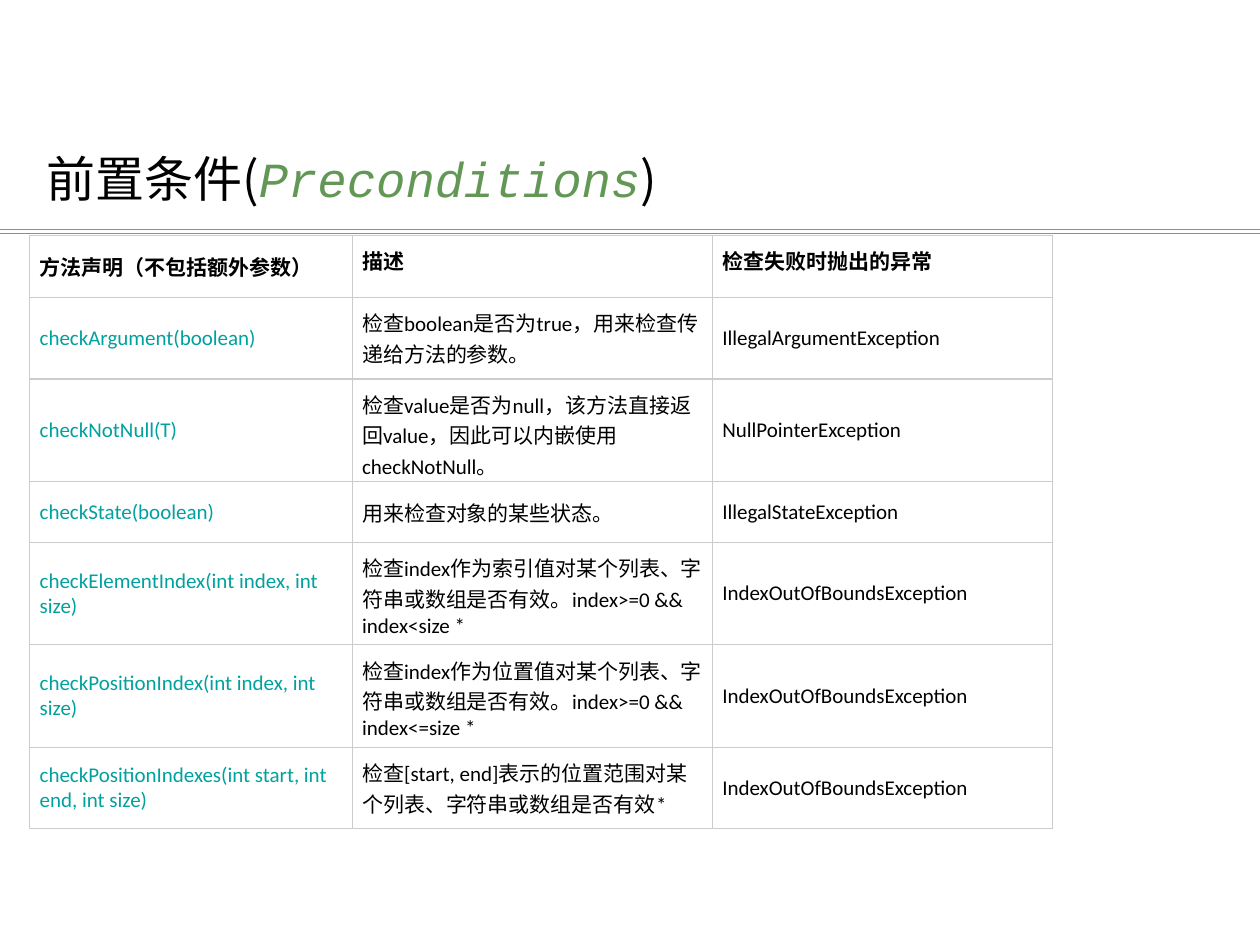
from lxml.etree import SubElement
from pptx import Presentation
from pptx.dml.color import RGBColor
from pptx.enum.shapes import MSO_CONNECTOR
from pptx.enum.text import MSO_ANCHOR as Anchor
from pptx.oxml.ns import qn
from pptx.util import Cm, Pt

CJK_FONT = "Noto Sans CJK SC"
BLACK, TEAL, GREEN = "000000", "00A19E", "629755"
RULE_BLUE, BORDER_GREY = "5B9BD5", "CCCCCC"
COLUMN_WIDTHS = [6.5, 7.26, 6.86]
ROW_HEIGHTS = [1.24, 1.65, 2.06, 1.24, 2.06, 2.06, 1.65]

HEADER = ["方法声明（不包括额外参数）", "描述", "检查失败时抛出的异常"]
METHODS = [
    ["checkArgument(boolean)",
     "检查boolean是否为true，用来检查传递给方法的参数。",
     "IllegalArgumentException"],
    ["checkNotNull(T)",
     "检查value是否为null，该方法直接返回value，因此可以内嵌使用checkNotNull。",
     "NullPointerException"],
    ["checkState(boolean)",
     "用来检查对象的某些状态。",
     "IllegalStateException"],
    ["checkElementIndex(int index, int size)",
     "检查index作为索引值对某个列表、字符串或数组是否有效。index>=0 && index<size *",
     "IndexOutOfBoundsException"],
    ["checkPositionIndex(int index, int size)",
     "检查index作为位置值对某个列表、字符串或数组是否有效。index>=0 && index<=size *",
     "IndexOutOfBoundsException"],
    ["checkPositionIndexes(int start, int end, int size)",
     "检查[start, end]表示的位置范围对某个列表、字符串或数组是否有效*",
     "IndexOutOfBoundsException"],
]


def rgb(color):
    return RGBColor.from_string(color)


def add_run(paragraph, text, color, **font_format):
    run = paragraph.add_run()
    run.text = text
    run.font.color.rgb = rgb(color)
    for attribute, value in font_format.items():
        setattr(run.font, attribute, value)
    SubElement(run.font._element, qn("a:ea"), typeface=CJK_FONT)


def add_rule(slide, top):
    rule = slide.shapes.add_connector(
        MSO_CONNECTOR.STRAIGHT, Cm(0), Cm(top), Cm(25.4), Cm(top))
    rule.line.color.rgb = rgb(RULE_BLUE)
    rule.line.width = Pt(0.5)
    SubElement(rule._element.spPr, qn("a:effectLst"))


def add_title(slide):
    title = slide.shapes.add_textbox(Cm(0.69), Cm(3), Cm(19.38), Cm(1.45))
    title.text_frame.word_wrap = True
    paragraph = title.text_frame.paragraphs[0]
    paragraph.space_before = Pt(10)
    paragraph.line_spacing = 0.9
    for text, color, font, italic in [
        ("前置条件(", BLACK, CJK_FONT, False),
        ("Preconditions", GREEN, "Courier New", True),
        (")", BLACK, CJK_FONT, False),
    ]:
        add_run(paragraph, text, color, name=font, size=Pt(28), italic=italic)


def add_borders(cell):
    """Outline all four sides; borders must precede the fill in the XML."""
    properties = cell._tc.get_or_add_tcPr()
    for position, side in enumerate(["a:lnL", "a:lnR", "a:lnT", "a:lnB"]):
        border = SubElement(properties, qn(side), w=str(Pt(0.75)))
        properties.insert(position, border)
        fill = SubElement(border, qn("a:solidFill"))
        SubElement(fill, qn("a:srgbClr"), val=BORDER_GREY)


def fill_cell(cell, text, color, bold, anchor):
    cell_format = dict.fromkeys(
        ["margin_left", "margin_right", "margin_top", "margin_bottom"], Cm(0.2))
    cell_format["vertical_anchor"] = anchor
    for attribute, value in cell_format.items():
        setattr(cell, attribute, value)
    cell.fill.background()
    add_borders(cell)
    add_run(cell.text_frame.paragraphs[0], text, color,
            name="Calibri", size=Pt(12), bold=bold)


def add_method_table(slide):
    table = slide.shapes.add_table(
        len(ROW_HEIGHTS), len(COLUMN_WIDTHS), Cm(0.6), Cm(4.75),
        Cm(sum(COLUMN_WIDTHS)), Cm(sum(ROW_HEIGHTS))).table
    for column, width in zip(table.columns, COLUMN_WIDTHS):
        column.width = Cm(width)
    for row, height in zip(table.rows, ROW_HEIGHTS):
        row.height = Cm(height)
    for r, texts in enumerate([HEADER] + METHODS):
        for c, text in enumerate(texts):
            is_header = r == 0
            color = TEAL if c == 0 and not is_header else BLACK
            anchor = Anchor.TOP if is_header and c > 0 else Anchor.MIDDLE
            fill_cell(table.cell(r, c), text, color, is_header, anchor)


def main():
    presentation = Presentation()
    presentation.slide_width, presentation.slide_height = Cm(25.4), Cm(19.05)
    slide = presentation.slides.add_slide(presentation.slide_layouts[6])
    for top in (4.62, 4.7):
        add_rule(slide, top)
    add_title(slide)
    add_method_table(slide)
    presentation.save("out.pptx")


if __name__ == "__main__":
    main()
